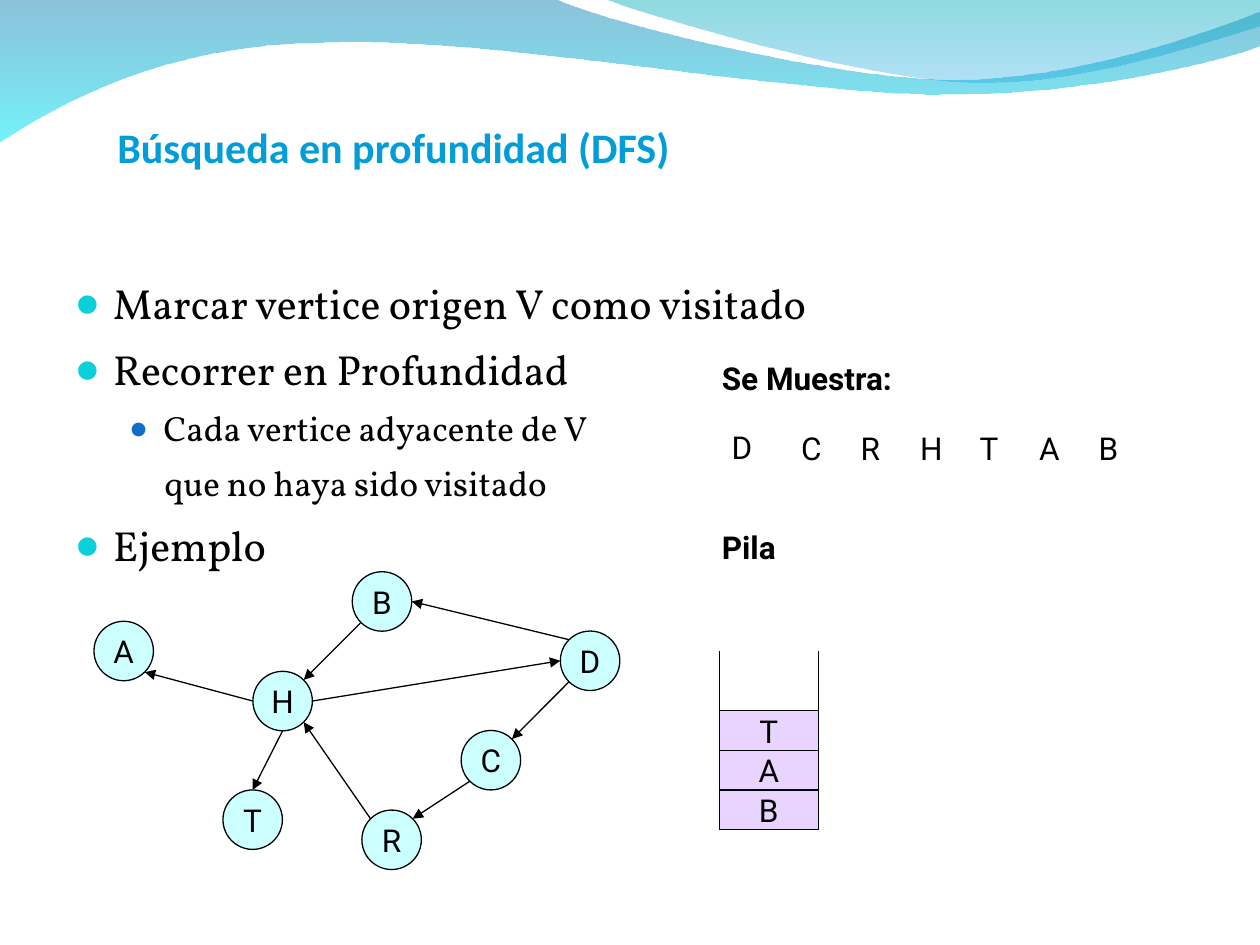
"""Build the slide on depth-first search with its graph, visit order and stack."""
import lxml.etree
import pptx
import pptx.dml.color
import pptx.enum.shapes
import pptx.enum.text
import pptx.oxml.ns
import pptx.util

Pt = pptx.util.Pt
RGB = pptx.dml.color.RGBColor
Shape = pptx.enum.shapes.MSO_SHAPE
Align = pptx.enum.text.PP_ALIGN
qn = pptx.oxml.ns.qn

BLACK = RGB(0x00, 0x00, 0x00)
TITLE_BLUE = RGB(0x00, 0x9D, 0xD9)
NODE_FILL = RGB(0xCC, 0xFF, 0xFF)
STACK_FILL = RGB(0xE9, 0xD3, 0xFF)
BULLET_CYAN = RGB(0x0B, 0xD0, 0xD9)
BULLET_BLUE = RGB(0x0F, 0x6F, 0xC6)
WAVE_DEEP = RGB(0x00, 0x79, 0xAF)
WAVE_CYAN = RGB(0x00, 0xEB, 0xF8)
WAVE_TEAL = RGB(0x00, 0xAD, 0xB6)
WAVE_SKY = RGB(0x00, 0x9B, 0xE5)

BACK_WAVE = [
    [(0, -0.7)], [(317, -0.7)],
    [(343, 12.2), (478, 45.4), (546, 45.4)],
    [(614, 45.4), (690, 18.7), (720, 6.5)],
    [(720.7, 25.9)],
    [(708, 31.7), (626, 54.7), (537, 54)],
    [(448, 54), (275, 20.2), (185, 24.5)],
    [(93, 25.2), (33, 59.8), (-0.7, 81.4)],
    [(0, -0.7)],
]
FRONT_WAVE = [
    [(345, -0.7)],
    [(366.5, 7.9), (491, 44.6), (553.7, 46.8)],
    [(616.3, 49.7), (692, 23), (720, 15.1)],
    [(720, 0)], [(345, -0.7)],
]

NODE_SIZE = 34
NODES = {
    "A": (53.7, 355), "T": (127.4, 451.4), "H": (144.5, 383.6), "B": (201.3, 326.7),
    "D": (320.2, 360.6), "C": (263.5, 417.4), "R": (206.8, 462.9),
}
SIDES = {
    "n": (0, -1), "s": (0, 1), "e": (1, 0), "w": (-1, 0),
    "ne": (0.71, -0.71), "nw": (-0.71, -0.71), "se": (0.71, 0.71), "sw": (-0.71, 0.71),
}
EDGES = [
    ("H", "w", "A", "se"), ("H", "s", "T", "n"), ("R", "nw", "H", "se"),
    ("C", "sw", "R", "ne"), ("H", "e", "D", "w"), ("B", "sw", "H", "ne"),
    ("D", "nw", "B", "e"), ("D", "sw", "C", "ne"),
]

TOP_LEVEL = dict(size=24, margin=21.6, indent=-21.6, before=6,
                 bullet=(BULLET_CYAN, 95000))
SUB_LEVEL = dict(size=20, level=1, margin=50.4, before=5)
STEPS = [
    ("Marcar vertice origen V como visitado", TOP_LEVEL),
    ("Recorrer en Profundidad", TOP_LEVEL),
    ("Cada vertice adyacente de V",
     dict(SUB_LEVEL, indent=-19.4, bullet=(BULLET_BLUE, 85000))),
    ("que no haya sido visitado", dict(SUB_LEVEL, margin=50.9)),
    ("Ejemplo", TOP_LEVEL),
]

STACK_LEFT, STACK_TOP, STACK_BOTTOM = 411, 372.2, 474
STACK_WIDTH, CELL_HEIGHT = 56.7, 22.65


def write(paragraph, text, *, font="Roboto", size=18, color=BLACK, bold=False, level=0,
          align=None, before=None, spacing=None, margin=0, indent=0, bullet=None):
    run = paragraph.add_run()
    run.text = text
    run.font.name, run.font.size, run.font.bold = font, Pt(size), bold
    run.font.color.rgb = color
    paragraph.alignment, paragraph.level = align, level
    paragraph.line_spacing = spacing
    if before is not None:
        paragraph.space_before = Pt(before)
    props = paragraph._p.get_or_add_pPr()
    props.set("marL", str(Pt(margin)))
    props.set("indent", str(Pt(indent)))
    if bullet:
        bullet_color, percent = bullet
        holder = lxml.etree.SubElement(props, qn("a:buClr"))
        lxml.etree.SubElement(holder, qn("a:srgbClr"), val=str(bullet_color))
        lxml.etree.SubElement(props, qn("a:buSzPct"), val=str(percent))
        lxml.etree.SubElement(props, qn("a:buFont"), typeface="Calibri")
        lxml.etree.SubElement(props, qn("a:buChar"), char="●")


def bend(outline, segments):
    corners = iter(outline.findall(qn("a:lnTo")))
    for segment in segments[1:]:
        steps = [next(corners) for _ in segment]
        if len(steps) == 3:
            curve = lxml.etree.Element(qn("a:cubicBezTo"))
            steps[0].addprevious(curve)
            for step in steps:
                curve.append(step[0])
                outline.remove(step)


def node_side(name, side):
    return tuple(corner + NODE_SIZE / 2 * (1 + shift)
                 for corner, shift in zip(NODES[name], SIDES[side]))


class Canvas:
    def __init__(self, slide, line_color=BLACK, line_width=0.75):
        self.shapes = slide.shapes
        self.line_color = line_color
        self.line_width = Pt(line_width)

    def wave(self, segments, stops):
        points = [(Pt(x), Pt(y)) for segment in segments for x, y in segment]
        builder = self.shapes.build_freeform(*points[0])
        builder.add_line_segments(points[1:], close=True)
        wave = builder.convert_to_shape()
        bend(next(wave._element.iter(qn("a:path"))), segments)
        wave.shadow.inherit = False
        wave.line.fill.background()
        wave.fill.gradient()
        wave.fill.gradient_angle = 270
        for stop, (color, opacity) in zip(wave.fill.gradient_stops, stops):
            stop.color.rgb = color
            tint = stop._gs.find(qn("a:srgbClr"))
            lxml.etree.SubElement(tint, qn("a:alpha"), val=str(opacity * 1000))

    def text(self, left, top, width, height, lines, autofit=True):
        frame = self.shapes.add_textbox(Pt(left), Pt(top), Pt(width), Pt(height)).text_frame
        frame.word_wrap = True
        if autofit:
            frame.auto_size = pptx.enum.text.MSO_AUTO_SIZE.SHAPE_TO_FIT_TEXT
        for index, (line, style) in enumerate(lines):
            write(frame.add_paragraph() if index else frame.paragraphs[0], line, **style)

    def box(self, kind, left, top, width, height, fill, label):
        box = self.shapes.add_shape(kind, Pt(left), Pt(top), Pt(width), Pt(height))
        box.shadow.inherit = False
        box.fill.solid()
        box.fill.fore_color.rgb = fill
        box.line.color.rgb, box.line.width = self.line_color, self.line_width
        box.text_frame.word_wrap = False
        box.text_frame.vertical_anchor = pptx.enum.text.MSO_ANCHOR.MIDDLE
        write(box.text_frame.paragraphs[0], label, align=Align.CENTER)

    def line(self, start, end, arrow=False):
        line = self.shapes.add_connector(
            pptx.enum.shapes.MSO_CONNECTOR.STRAIGHT, *map(Pt, (*start, *end)))
        line.line.color.rgb, line.line.width = self.line_color, self.line_width
        if arrow:
            lxml.etree.SubElement(line.line._get_or_add_ln(), qn("a:tailEnd"), type="triangle")
        lxml.etree.SubElement(line._element.spPr, qn("a:effectLst"))


def main():
    deck = pptx.Presentation()
    deck.slide_width, deck.slide_height = Pt(720), Pt(540)
    canvas = Canvas(deck.slides.add_slide(deck.slide_layouts[6]))

    canvas.wave(BACK_WAVE, [(WAVE_DEEP, 45), (WAVE_CYAN, 55)])
    canvas.wave(FRONT_WAVE, [(WAVE_TEAL, 45), (WAVE_SKY, 30)])
    canvas.text(36, 152.3, 648, 345.6,
                [(step, dict(style, font="Vollkorn", spacing=1.1)) for step, style in STEPS],
                autofit=False)

    for name, (left, top) in NODES.items():
        canvas.box(Shape.OVAL, left, top, NODE_SIZE, NODE_SIZE, NODE_FILL, name)
    for source, source_side, target, target_side in EDGES:
        canvas.line(node_side(source, source_side), node_side(target, target_side), arrow=True)

    for heading, top, width in (("Se Muestra:", 201.6, 136), ("Pila", 298.3, 102)):
        canvas.text(405.4, top, width, 29, [(heading, dict(bold=True, before=11.2))])
    canvas.text(411, 241.2, 28, 29, [("D", dict(before=11.2))])
    for index, visited in enumerate("CRHTAB"):
        canvas.text(450.7 + 34 * index, 241.6, 28, 29, [(visited, dict(before=11.2))])

    stack_right = STACK_LEFT + STACK_WIDTH
    for side in (STACK_LEFT, stack_right):
        canvas.line((side, STACK_TOP), (side, STACK_BOTTOM))
    canvas.line((STACK_LEFT, STACK_BOTTOM), (stack_right, STACK_BOTTOM))
    for level, pending in enumerate("BAT", start=1):
        canvas.box(Shape.RECTANGLE, STACK_LEFT, STACK_BOTTOM - CELL_HEIGHT * level,
                   STACK_WIDTH, CELL_HEIGHT, STACK_FILL, pending)

    canvas.text(60, 66.2, 594, 36, [("Búsqueda en profundidad (DFS)",
                dict(font="Calibri", size=24, color=TITLE_BLUE, bold=True))])
    deck.save("out.pptx")


if __name__ == "__main__":
    main()
